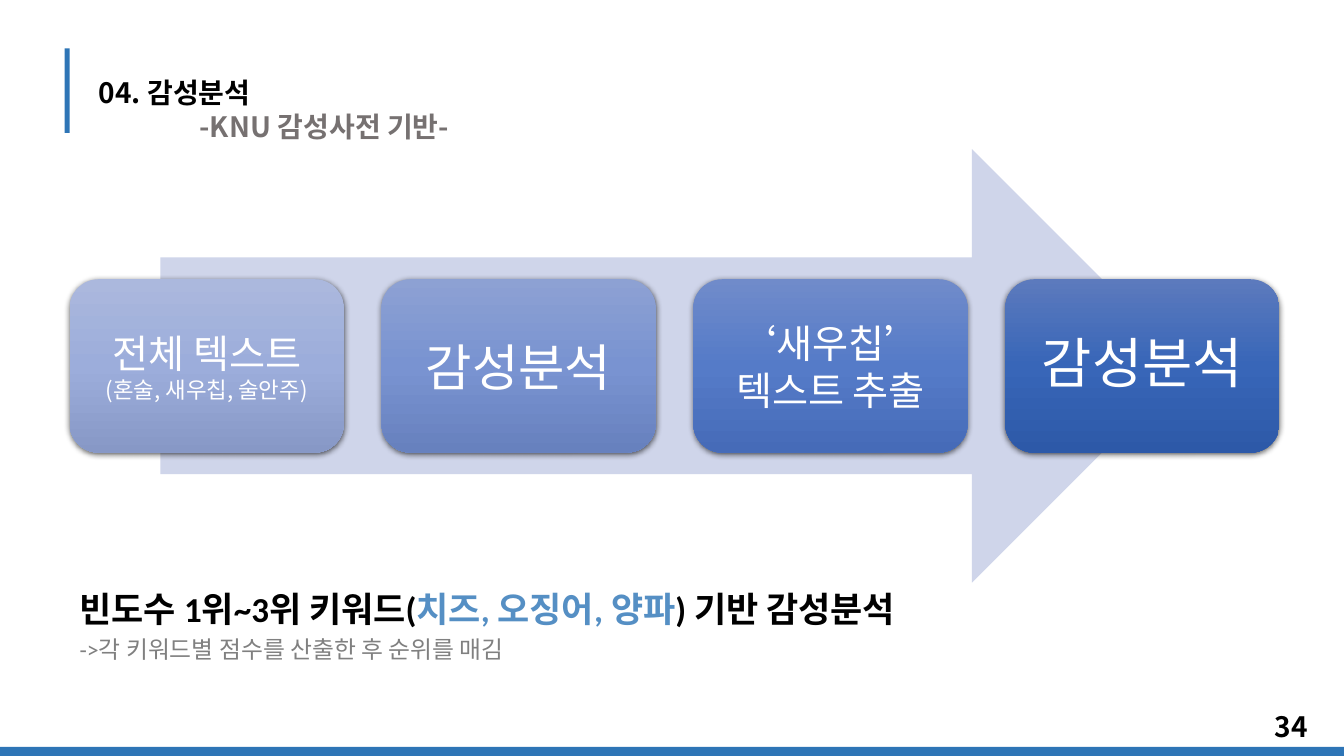
import copy

from pptx import Presentation
from pptx.dml.color import RGBColor
from pptx.enum import shapes, text
from pptx.oxml import parse_xml
from pptx.oxml.ns import nsdecls, qn
from pptx.util import Inches, Pt

BLUE = RGBColor(0x2E, 0x75, 0xB6)
PALE_BLUE = RGBColor(0xCF, 0xD5, 0xEA)
KEYWORD_BLUE = RGBColor(0x55, 0x8F, 0xC4)
BLACK = RGBColor(0, 0, 0)
WHITE = RGBColor(0xFF, 0xFF, 0xFF)
SUBTITLE_GREY = RGBColor(0x76, 0x71, 0x71)
NOTE_GREY = RGBColor(0x80, 0x80, 0x80)
KOREAN_FONT = "Noto Sans CJK KR"
LATIN_FONT = "Calibri"
SLIDE_WIDTH, SLIDE_HEIGHT = 13.33, 7.5

STEPS = [
    ([("전체 텍스트", 28), ("(혼술, 새우칩, 술안주)", 16)], 1.0,
     (RGBColor(0xAB, 0xB8, 0xDD), RGBColor(0x9C, 0xAD, 0xDB), RGBColor(0x87, 0x98, 0xC6))),
    ([("감성분석", 36)], 1.0,
     (RGBColor(0x8D, 0xA1, 0xD3), RGBColor(0x79, 0x93, 0xD1), RGBColor(0x67, 0x81, 0xBE))),
    ([("‘새우칩’", 28), ("텍스트 추출", 28)], 1.0,
     (RGBColor(0x70, 0x8B, 0xCA), RGBColor(0x55, 0x7B, 0xC8), RGBColor(0x46, 0x6B, 0xB8))),
    ([("감성분석", 39)], 0.9,
     (RGBColor(0x5C, 0x7A, 0xBD), RGBColor(0x38, 0x66, 0xB8), RGBColor(0x2D, 0x59, 0xA8))),
]


def place(shape, left, top, width, height):
    shape.left, shape.top = Inches(left), Inches(top)
    shape.width, shape.height = Inches(width), Inches(height)


def add_span(para, words, size, color, bold=False, font=KOREAN_FONT):
    span = para.add_run()
    span.text = words
    span.font.name = font
    span.font.size = Pt(size)
    span.font.bold = bold
    span.font.color.rgb = color
    latin = span.font._element.find(qn("a:latin"))
    latin.addnext(parse_xml(f'<a:ea {nsdecls("a")} typeface="{KOREAN_FONT}"/>'))


def prepare_frame(frame, anchor):
    frame.word_wrap = True
    frame.auto_size = text.MSO_AUTO_SIZE.NONE
    frame.vertical_anchor = anchor


def add_block(page, kind, left, top, width, height, color):
    block = page.shapes.add_shape(kind, Inches(left), Inches(top), Inches(width), Inches(height))
    block.shadow.inherit = False
    block.fill.solid()
    block.fill.fore_color.rgb = color
    block.line.fill.background()
    return block


def add_heading(page, left, top, width, height):
    add_block(page, shapes.MSO_SHAPE.RECTANGLE, left, top, 0.05, 0.84, BLUE)
    title = page.shapes.title
    place(title, left + 0.24, top + 0.22, width - 0.24, height - 0.22)
    frame = title.text_frame
    prepare_frame(frame, text.MSO_ANCHOR.TOP)
    lines = [("04. 감성분석", BLACK), ("\t-KNU 감성사전 기반-", SUBTITLE_GREY)]
    for index, (words, color) in enumerate(lines):
        para = frame.add_paragraph() if index else frame.paragraphs[0]
        para.alignment = text.PP_ALIGN.LEFT
        para._p.get_or_add_pPr().append(parse_xml(
            f'<a:tabLst {nsdecls("a")}><a:tab pos="{Inches(1)}" algn="l"/></a:tabLst>'))
        add_span(para, words, 20, color, bold=True)


def add_step(page, left, top, width, height, lines, spacing, colors):
    step = add_block(page, shapes.MSO_SHAPE.ROUNDED_RECTANGLE, left, top, width, height, colors[1])
    step.fill.gradient()
    step.fill.gradient_angle = 270
    properties = step._element.spPr
    stop_list = properties.find(qn("a:gradFill")).find(qn("a:gsLst"))
    stop_list.append(copy.deepcopy(stop_list[0]))
    for index, (stop, color) in enumerate(zip(step.fill.gradient_stops, colors)):
        stop.position = index / 2
        stop.color.rgb = color
    properties.find(qn("a:effectLst")).append(parse_xml(
        f'<a:outerShdw {nsdecls("a")} blurRad="57150" dist="19050" dir="5400000" '
        'algn="ctr" rotWithShape="0"><a:srgbClr val="000000"><a:alpha val="63000"/>'
        '</a:srgbClr></a:outerShdw>'))

    frame = step.text_frame
    prepare_frame(frame, text.MSO_ANCHOR.MIDDLE)
    frame.margin_left = frame.margin_right = Inches(0.12)
    frame.margin_top = frame.margin_bottom = Inches(0.12)
    para = frame.paragraphs[0]
    para.alignment = text.PP_ALIGN.CENTER
    para.line_spacing = spacing
    for index, (words, size) in enumerate(lines):
        if index:
            para.add_line_break()
        add_span(para, words, size, WHITE)


def add_process(page, left, top, width, height):
    arrow_width = width * 0.85
    add_block(page, shapes.MSO_SHAPE.RIGHT_ARROW, left + (width - arrow_width) / 2, top,
              arrow_width, height, PALE_BLUE)
    step_width, step_height = 2.72, height * 0.4
    pitch = (width - step_width) / (len(STEPS) - 1)
    for index, (lines, spacing, colors) in enumerate(STEPS):
        add_step(page, left + index * pitch, top + (height - step_height) / 2,
                 step_width, step_height, lines, spacing, colors)


def add_summary(page, left, top, width, height):
    body = page.placeholders[1]
    place(body, left, top, width, height)
    frame = body.text_frame
    prepare_frame(frame, text.MSO_ANCHOR.TOP)
    lines = [
        [("빈도수 1위~3위 키워드(", 25, BLACK, True),
         ("치즈, 오징어, 양파", 25, KEYWORD_BLUE, True),
         (") 기반 감성분석", 25, BLACK, True)],
        [("->각 키워드별 점수를 산출한 후 순위를 매김", 17, NOTE_GREY, False)],
    ]
    for index, spans in enumerate(lines):
        para = frame.add_paragraph() if index else frame.paragraphs[0]
        settings = para._p.get_or_add_pPr()
        settings.set("marL", "0")
        settings.set("indent", "0")
        settings.append(parse_xml(f'<a:buNone {nsdecls("a")}/>'))
        para.space_before = Pt(3.4 if index else 0)
        for words, size, color, bold in spans:
            add_span(para, words, size, color, bold, LATIN_FONT)


def add_footer(page, left, top, width, height):
    add_block(page, shapes.MSO_SHAPE.RECTANGLE, left, top + height - 0.09, width, 0.09, BLUE)
    number = page.shapes.add_textbox(Inches(left + width - 3.26), Inches(top),
                                     Inches(3), Inches(0.4))
    prepare_frame(number.text_frame, text.MSO_ANCHOR.MIDDLE)
    para = number.text_frame.paragraphs[0]
    para.alignment = text.PP_ALIGN.RIGHT
    add_span(para, "34", 20, BLACK, bold=True)


def main():
    deck = Presentation()
    deck.slide_width, deck.slide_height = Inches(SLIDE_WIDTH), Inches(SLIDE_HEIGHT)
    page = deck.slides.add_slide(deck.slide_layouts[1])
    add_heading(page, 0.64, 0.48, 5.59, 0.99)
    add_process(page, 0.69, 1.48, 12, 4.3)
    add_summary(page, 0.69, 5.78, 12, 0.87)
    add_footer(page, 0, 7.01, SLIDE_WIDTH, 0.49)
    deck.save("out.pptx")


if __name__ == "__main__":
    main()
